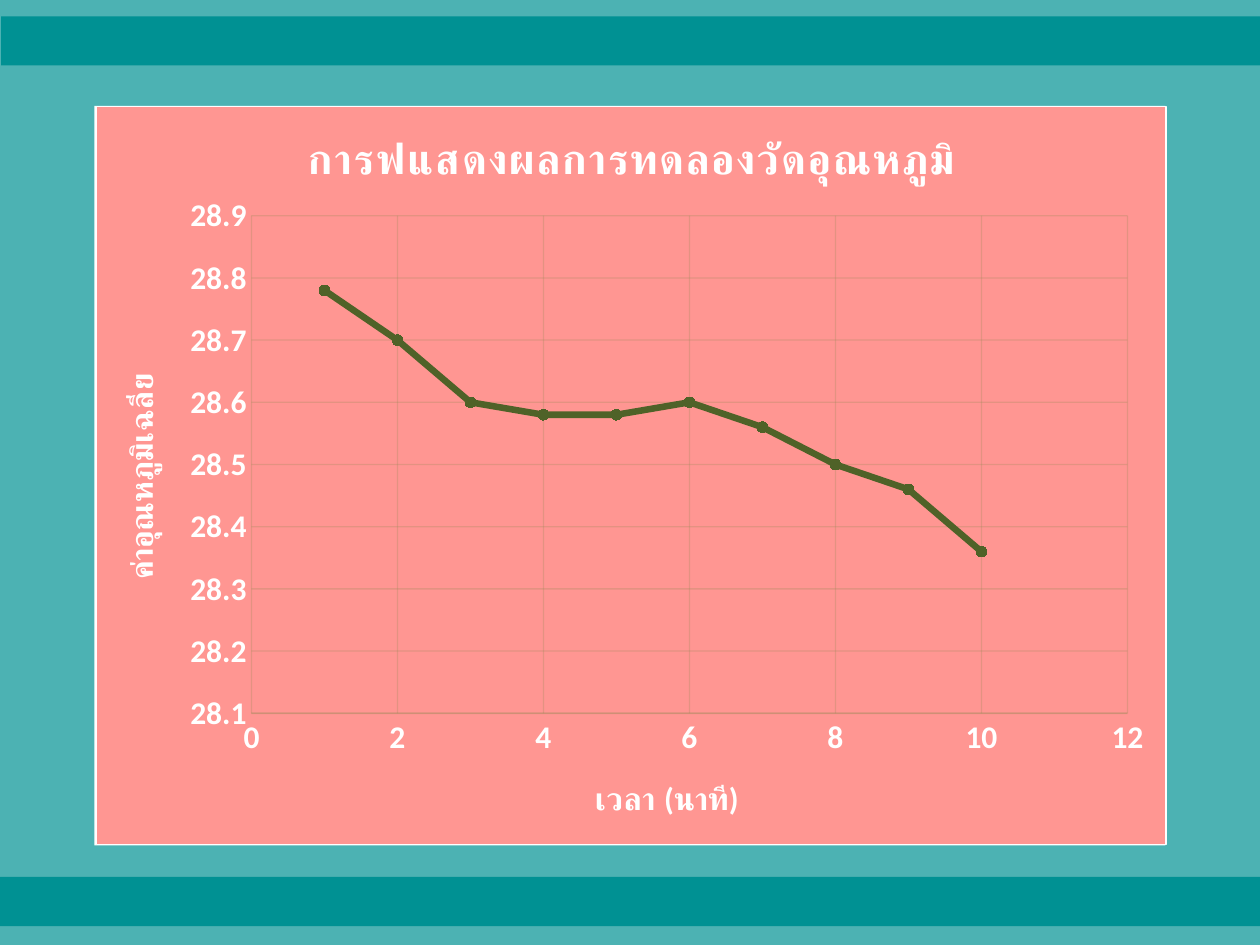
from lxml import etree
from pptx import Presentation
from pptx import util as u
from pptx.chart.data import XyChartData
from pptx.dml.color import RGBColor
from pptx.enum import chart as charts, shapes
from pptx.oxml import parse_xml
from pptx.oxml.ns import nsdecls, qn

COLORS = {"teal": "009193", "background": "4CB2B3", "coral": "FF7E79",
          "white": "FFFFFF", "olive": "4F6228", "grid": "948A54"}
FONT = "Calibri"
TEMPERATURES = [28.78, 28.7, 28.6, 28.58, 28.58, 28.6, 28.56, 28.5, 28.46, 28.36]


def color(name):
    return RGBColor.from_string(COLORS[name])


def write_text(frame, text, size, spacing=0):
    """Write one bold white line into a chart text frame."""
    run = frame.paragraphs[0].add_run()
    run.text = text
    run.font.size, run.font.bold, run.font.name = u.Pt(size), True, FONT
    run.font.color.rgb = color("white")
    if spacing:
        run.font._element.set("spc", str(spacing))


def add_bar(slide, left, top, width, height, fill):
    shape = slide.shapes.add_shape(shapes.MSO_SHAPE.RECTANGLE, u.Inches(left),
                                   u.Inches(top), u.Inches(width), u.Inches(height))
    shape.shadow.inherit = False
    shape.fill.solid()
    shape.fill.fore_color.rgb = color(fill)
    shape.line.fill.background()


def style_line(line, name, width, alpha=None):
    line.color.rgb = color(name)
    line.width = u.Pt(width)
    if alpha:
        for element in line._ln.iter(qn("a:srgbClr")):
            etree.SubElement(element, qn("a:alpha")).set("val", str(alpha * 1000))


def style_axis(axis, title, low, high, step, number_format):
    axis.minimum_scale, axis.maximum_scale, axis.major_unit = low, high, step
    axis.major_tick_mark = axis.minor_tick_mark = charts.XL_TICK_MARK.NONE
    axis.has_major_gridlines = True
    style_line(axis.major_gridlines.format.line, "grid", 0.75, alpha=25)
    labels = axis.tick_labels
    labels.number_format, labels.number_format_is_linked = number_format, False
    labels.font.size, labels.font.bold, labels.font.name = u.Pt(18), True, FONT
    labels.font.color.rgb = color("white")
    write_text(axis.axis_title.text_frame, title, 18)


def style_chart_area(chart):
    """Give the chart a translucent fill, a border and a fixed plot box."""
    area = parse_xml(
        f'<c:spPr {nsdecls("c", "a")}><a:solidFill><a:srgbClr val="{COLORS["coral"]}">'
        '<a:alpha val="81000"/></a:srgbClr></a:solidFill><a:ln w="9525"><a:solidFill>'
        f'<a:srgbClr val="{COLORS["white"]}"/></a:solidFill></a:ln></c:spPr>')
    chart._chartSpace.find(qn("c:chart")).addnext(area)
    plot_area = chart._chartSpace.find(".//" + qn("c:plotArea"))
    for layout in plot_area.findall(qn("c:layout")):
        plot_area.remove(layout)
    box = {"x": 0.145, "y": 0.148, "w": 0.819, "h": 0.674}
    values = "".join(f'<c:{key} val="{value}"/>' for key, value in box.items())
    plot_area.insert(0, parse_xml(
        f'<c:layout {nsdecls("c")}><c:manualLayout><c:layoutTarget val="inner"/>'
        f'<c:xMode val="edge"/><c:yMode val="edge"/>{values}</c:manualLayout></c:layout>'))


def add_temperature_chart(slide, left, top, width, height):
    # White backing behind the translucent chart
    add_bar(slide, left, top, width, height, "white")
    data = XyChartData()
    points = data.add_series("Series 1")
    for minute, temperature in enumerate(TEMPERATURES, start=1):
        points.add_data_point(minute, temperature)
    chart = slide.shapes.add_chart(
        charts.XL_CHART_TYPE.XY_SCATTER_LINES, u.Inches(left + 0.01), u.Inches(top),
        u.Inches(width), u.Inches(height), data).chart
    chart.font.size, chart.font.name = u.Pt(10), FONT
    chart.has_legend = False
    chart.has_title = True
    write_text(chart.chart_title.text_frame, "การฟแสดงผลการทดลองวัดอุณหภูมิ", 24, spacing=100)
    chart.chart_title.include_in_layout = False
    style_chart_area(chart)

    # Axes
    style_axis(chart.category_axis, "เวลา (นาที)", 0, 12, 2, "0")
    style_line(chart.category_axis.format.line, "grid", 1, alpha=25)
    style_axis(chart.value_axis, "ค่าอุณหภูมิเฉลี่ย", 28.1, 28.9, 0.1, "0.0")
    chart.value_axis.format.line.fill.background()

    # Series
    chart.plots[0].vary_by_categories = False
    series = chart.plots[0].series[0]
    series.smooth = False
    style_line(series.format.line, "olive", 3.75)
    series.marker.style, series.marker.size = charts.XL_MARKER_STYLE.CIRCLE, 6
    series.marker.format.fill.solid()
    series.marker.format.fill.fore_color.rgb = color("olive")
    style_line(series.marker.format.line, "olive", 0.75)


def main():
    presentation = Presentation()
    presentation.slide_width, presentation.slide_height = u.Inches(10), u.Inches(7.5)
    slide = presentation.slides.add_slide(presentation.slide_layouts[6])
    slide.background.fill.solid()
    slide.background.fill.fore_color.rgb = color("background")

    add_temperature_chart(slide, 0.75, 0.84, 8.5, 5.87)
    # Bands at the top and bottom
    for left, top in ((0.01, 0.13), (0, 6.96)):
        add_bar(slide, left, top, 10, 0.39, "teal")
    presentation.save("out.pptx")


if __name__ == "__main__":
    main()
